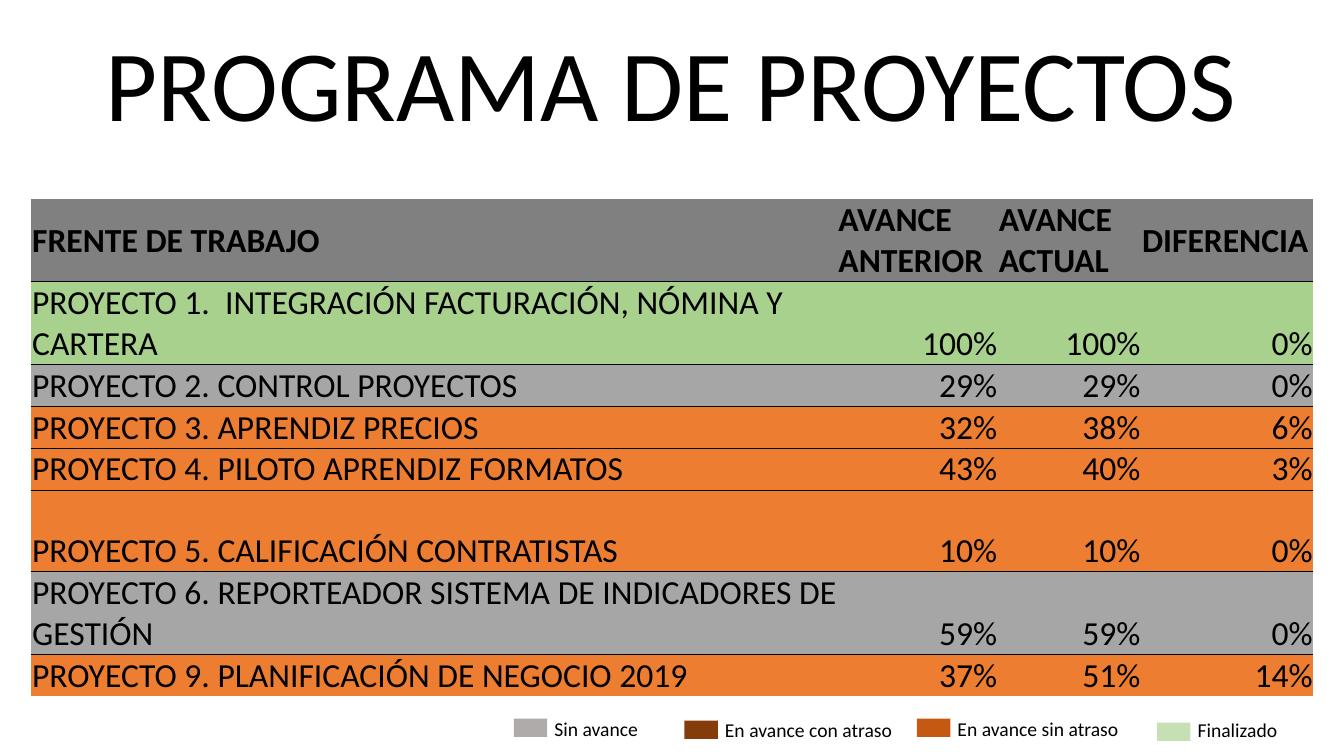
from lxml import etree
from pptx import Presentation
from pptx import util as u
from pptx.dml.color import RGBColor
from pptx.enum import shapes, text
from pptx.oxml import ns

BLACK = RGBColor(0x00, 0x00, 0x00)
HEADER_GREY = RGBColor(0x80, 0x80, 0x80)
DONE_GREEN = RGBColor(0xA9, 0xD1, 0x8E)
IDLE_GREY = RGBColor(0xA6, 0xA6, 0xA6)
ACTIVE_ORANGE = RGBColor(0xED, 0x7D, 0x31)
LEGEND_GREY = RGBColor(0xAF, 0xAB, 0xAB)
LEGEND_BROWN = RGBColor(0x84, 0x3C, 0x0B)
LEGEND_ORANGE = RGBColor(0xC6, 0x59, 0x11)
LEGEND_GREEN = RGBColor(0xC6, 0xE0, 0xB4)

HEADINGS = ("FRENTE DE TRABAJO", "AVANCE ANTERIOR", "AVANCE ACTUAL", "DIFERENCIA")
PROJECTS = [
    (DONE_GREEN, "PROYECTO 1.  INTEGRACIÓN FACTURACIÓN, NÓMINA Y CARTERA", "100%", "100%", "0%"),
    (IDLE_GREY, "PROYECTO 2. CONTROL PROYECTOS", "29%", "29%", "0%"),
    (ACTIVE_ORANGE, "PROYECTO 3. APRENDIZ PRECIOS", "32%", "38%", "6%"),
    (ACTIVE_ORANGE, "PROYECTO 4. PILOTO APRENDIZ FORMATOS", "43%", "40%", "3%"),
    (ACTIVE_ORANGE, "PROYECTO 5. CALIFICACIÓN CONTRATISTAS", "10%", "10%", "0%"),
    (IDLE_GREY, "PROYECTO 6. REPORTEADOR SISTEMA DE INDICADORES DE GESTIÓN", "59%", "59%", "0%"),
    (ACTIVE_ORANGE, "PROYECTO 9. PLANIFICACIÓN DE NEGOCIO 2019", "37%", "51%", "14%"),
]
COLUMN_WIDTHS = (20.32, 4.04, 3.61, 4.34)
LINE_HEIGHT = 1.03
LINES_PER_ROW = (2, 2, 1, 1, 1, 2, 1, 1)

# label, colour, swatch left and top, label top, label width
LEGEND = [
    ("Sin avance", LEGEND_GREY, 12.95, 18.11, 17.93, 4.9),
    ("En avance con atraso", LEGEND_BROWN, 17.25, 18.16, 17.96, 4.9),
    ("En avance sin atraso", LEGEND_ORANGE, 23.11, 18.11, 17.93, 4.9),
    ("Finalizado", LEGEND_GREEN, 29.16, 18.21, 17.96, 2.59),
]


class ProgressSlide:
    font_name = "Calibri"

    def __init__(self, deck):
        self.slide = deck.slides.add_slide(deck.slide_layouts[5])

    def set_text(self, frame, wording, size, bold=False, align=text.PP_ALIGN.LEFT):
        frame.text = wording
        paragraph = frame.paragraphs[0]
        paragraph.alignment = align
        font = paragraph.runs[0].font
        font.name, font.size, font.bold = self.font_name, u.Pt(size), bold
        font.color.rgb = BLACK

    def title(self, wording, left, top, width, height):
        heading = self.slide.shapes.title
        heading.left, heading.top = u.Cm(left), u.Cm(top)
        heading.width, heading.height = u.Cm(width), u.Cm(height)
        heading.text_frame.auto_size = text.MSO_AUTO_SIZE.NONE
        self.set_text(heading.text_frame, wording, 72, align=text.PP_ALIGN.CENTER)

    def border(self, cell, ruled_sides):
        """Draw thin black rules on the given sides and clear the others."""
        properties = cell._tc.get_or_add_tcPr()
        for position, side in enumerate(("L", "R", "T", "B")):
            line = etree.Element(ns.qn(f"a:ln{side}"), w=str(u.Pt(0.5)))
            if side in ruled_sides:
                fill = etree.SubElement(line, ns.qn("a:solidFill"))
                etree.SubElement(fill, ns.qn("a:srgbClr"), val=str(BLACK))
            else:
                etree.SubElement(line, ns.qn("a:noFill"))
            properties.insert(position, line)

    def cell(self, cell, wording, colour, heading, numeric, ruled_sides):
        cell.margin_left = cell.margin_right = cell.margin_top = u.Cm(0.02)
        cell.margin_bottom = 0
        cell.vertical_anchor = text.MSO_ANCHOR.MIDDLE if heading else text.MSO_ANCHOR.BOTTOM
        cell.fill.solid()
        cell.fill.fore_color.rgb = colour
        align = text.PP_ALIGN.RIGHT if numeric else text.PP_ALIGN.LEFT
        self.set_text(cell.text_frame, wording, 24, heading, align)
        self.border(cell, ruled_sides)

    def table(self, left, top):
        rows = [(HEADER_GREY, *HEADINGS), *PROJECTS]
        frame = self.slide.shapes.add_table(
            len(rows), len(HEADINGS), u.Cm(left), u.Cm(top),
            u.Cm(sum(COLUMN_WIDTHS)), u.Cm(LINE_HEIGHT * sum(LINES_PER_ROW)))
        progress = frame.table
        progress.first_row = progress.horz_banding = False
        for column, width in zip(progress.columns, COLUMN_WIDTHS):
            column.width = u.Cm(width)
        for r, (colour, *wordings) in enumerate(rows):
            progress.rows[r].height = u.Cm(LINE_HEIGHT * LINES_PER_ROW[r])
            ruled_sides = ("T" if r > 0 else "") + ("B" if r < len(rows) - 1 else "")
            for c, wording in enumerate(wordings):
                self.cell(progress.cell(r, c), wording, colour,
                          r == 0, r > 0 and c > 0, ruled_sides)

    def swatch(self, colour, left, top):
        mark = self.slide.shapes.add_shape(
            shapes.MSO_SHAPE.RECTANGLE, u.Cm(left), u.Cm(top), u.Cm(0.84), u.Cm(0.46))
        mark.shadow.inherit = False
        mark.fill.solid()
        mark.fill.fore_color.rgb = colour
        mark.line.fill.background()

    def label(self, wording, left, top, width):
        caption = self.slide.shapes.add_textbox(u.Cm(left), u.Cm(top), u.Cm(width), u.Cm(0.86))
        caption.text_frame.word_wrap = True
        self.set_text(caption.text_frame, wording, 14)


def main():
    deck = Presentation()
    deck.slide_width, deck.slide_height = u.Cm(33.87), u.Cm(19.05)
    progress = ProgressSlide(deck)
    progress.title("PROGRAMA DE PROYECTOS", 1.55, 0.38, 30.73, 3.33)
    progress.table(0.79, 5.01)
    for wording, colour, left, swatch_top, label_top, width in LEGEND:
        progress.swatch(colour, left, swatch_top)
        progress.label(wording, left + 0.77, label_top, width)
    deck.save("out.pptx")


if __name__ == "__main__":
    main()
